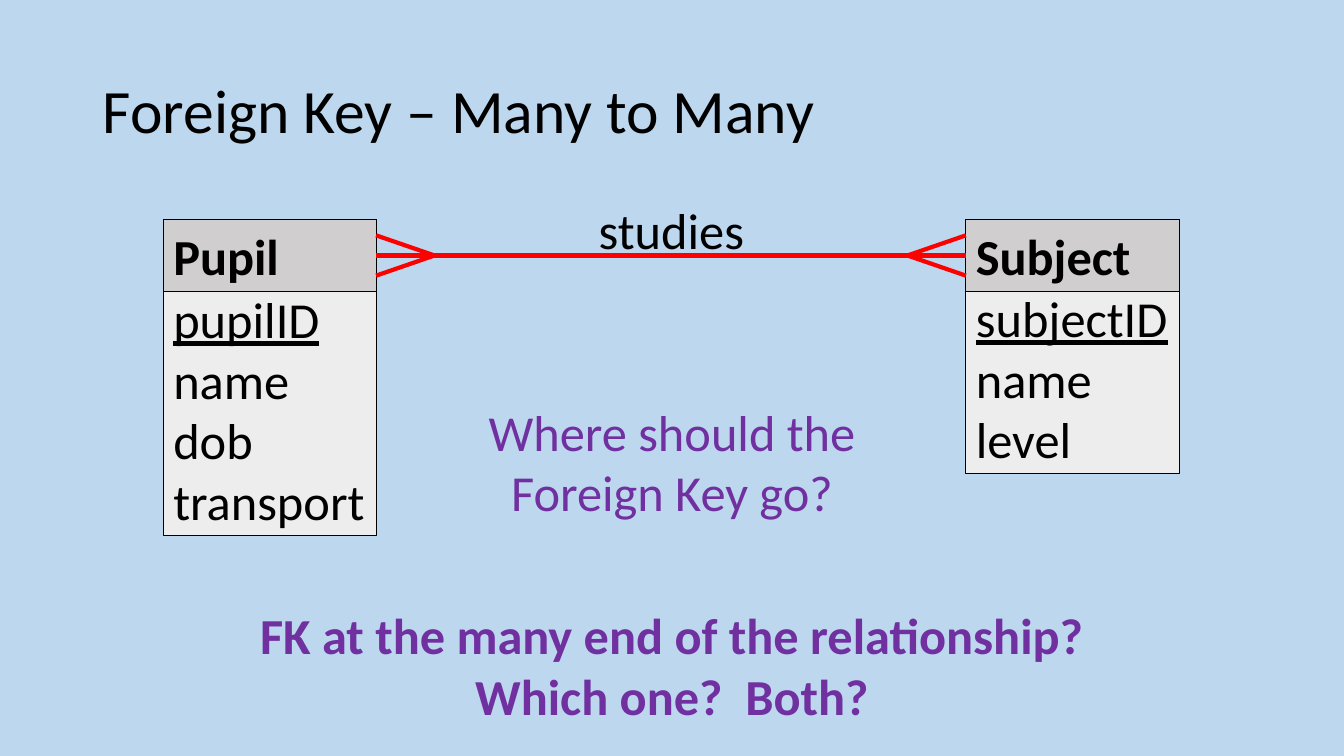
"""Build the slide on foreign keys in a many-to-many relationship."""
from lxml.etree import SubElement
from pptx import Presentation
from pptx.dml.color import RGBColor
from pptx.enum.shapes import MSO_CONNECTOR as Connector, MSO_SHAPE as Shape
from pptx.enum.text import MSO_ANCHOR as Anchor, PP_ALIGN as Align
from pptx.oxml.ns import qn
from pptx.util import Inches, Pt

SKY = RGBColor(0xBD, 0xD7, 0xEE)
BLACK = RGBColor(0, 0, 0)
PALE_GREY = RGBColor(0xED, 0xED, 0xED)
HEADER_GREY = RGBColor(0xD0, 0xCE, 0xCE)
RED = RGBColor(0xFF, 0, 0)
PURPLE = RGBColor(0x70, 0x30, 0xA0)

ENTITY_TOP, HEADER_HEIGHT = 2.18, 0.71
LINK_Y = ENTITY_TOP + HEADER_HEIGHT / 2
FOOT_LENGTH, TOE_SPREAD = 0.58, 0.2


class Diagram:
    def __init__(self, slide, font="Calibri", size=36):
        self.slide = slide
        self.font = font
        self.size = size
        slide.background.fill.solid()
        slide.background.fill.fore_color.rgb = SKY

    def fill_text(self, frame, lines, color=BLACK, align=Align.LEFT,
                  anchor=Anchor.TOP, wrap=True, size=None, **font_values):
        frame.word_wrap = wrap
        frame.vertical_anchor = anchor
        values = {"name": self.font, "size": Pt(size or self.size), **font_values}
        for index, line in enumerate(lines):
            paragraph = frame.add_paragraph() if index else frame.paragraphs[0]
            paragraph.alignment = align
            run = paragraph.add_run()
            run.text = line
            run.font.color.rgb = color
            for name, value in values.items():
                setattr(run.font, name, value)

    def title(self, text, *box):
        heading = self.slide.shapes.title
        for name, value in zip(("left", "top", "width", "height"), box):
            setattr(heading, name, Inches(value))
        self.fill_text(heading.text_frame, [text], anchor=Anchor.MIDDLE, size=44)
        heading.text_frame.paragraphs[0].line_spacing = 0.9

    def text(self, lines, *box, **style):
        label = self.slide.shapes.add_textbox(*map(Inches, box))
        self.fill_text(label.text_frame, lines, **style)

    def rectangle(self, fill, *box):
        panel = self.slide.shapes.add_shape(Shape.RECTANGLE, *map(Inches, box))
        panel.shadow.inherit = False
        panel.fill.solid()
        panel.fill.fore_color.rgb = fill
        panel.line.color.rgb = BLACK
        panel.line.width = Pt(0.75)
        return panel

    def entity(self, name, key, attributes, left, width, height):
        body = self.rectangle(PALE_GREY, left, ENTITY_TOP, width, height)
        self.fill_text(body.text_frame, [key, *attributes],
                       anchor=Anchor.BOTTOM, wrap=False)
        body.text_frame.paragraphs[0].runs[0].font.underline = True
        header = self.rectangle(HEADER_GREY, left, ENTITY_TOP, width, HEADER_HEIGHT)
        self.fill_text(header.text_frame, [name], bold=True)
        return header

    def line(self, *ends):
        link = self.slide.shapes.add_connector(Connector.STRAIGHT, *map(Inches, ends))
        link.line.color.rgb = RED
        link.line.width = Pt(3)
        SubElement(link._element.spPr, qn("a:effectLst"))
        return link

    def many_to_many(self, first, second):
        start, end = (first.left + first.width) / Inches(1), second.left / Inches(1)
        link = self.line(start, LINK_Y, end, LINK_Y)
        link.begin_connect(first, 3)
        link.end_connect(second, 1)
        for edge, foot in ((start, start + FOOT_LENGTH), (end, end - FOOT_LENGTH)):
            for spread in (-TOE_SPREAD, TOE_SPREAD):
                self.line(foot, LINK_Y, edge, LINK_Y + spread)


def main():
    deck = Presentation()
    deck.slide_width, deck.slide_height = Inches(13.33), Inches(7.5)
    diagram = Diagram(deck.slides.add_slide(deck.slide_layouts[5]))

    diagram.title("Foreign Key – Many to Many", 0.92, 0.4, 11.5, 1.45)
    pupil = diagram.entity("Pupil", "pupilID", ["name", "dob", "transport"],
                           1.62, 2.11, 3.13)
    subject = diagram.entity("Subject", "subjectID", ["name", "level"],
                             9.58, 2.12, 2.52)
    diagram.many_to_many(pupil, subject)
    diagram.text(["studies"], 5.84, 1.93, 1.66, 0.71, wrap=False)
    diagram.text(["FK at the many end of the relationship?", "Which one?  Both?"],
                 2.46, 5.94, 8.41, 1.31, color=PURPLE, align=Align.CENTER,
                 anchor=Anchor.MIDDLE, bold=True)
    diagram.text(["Where should the Foreign Key go?"], 4.74, 3.93, 3.85, 1.31,
                 color=PURPLE, align=Align.CENTER)
    deck.save("out.pptx")


if __name__ == "__main__":
    main()
